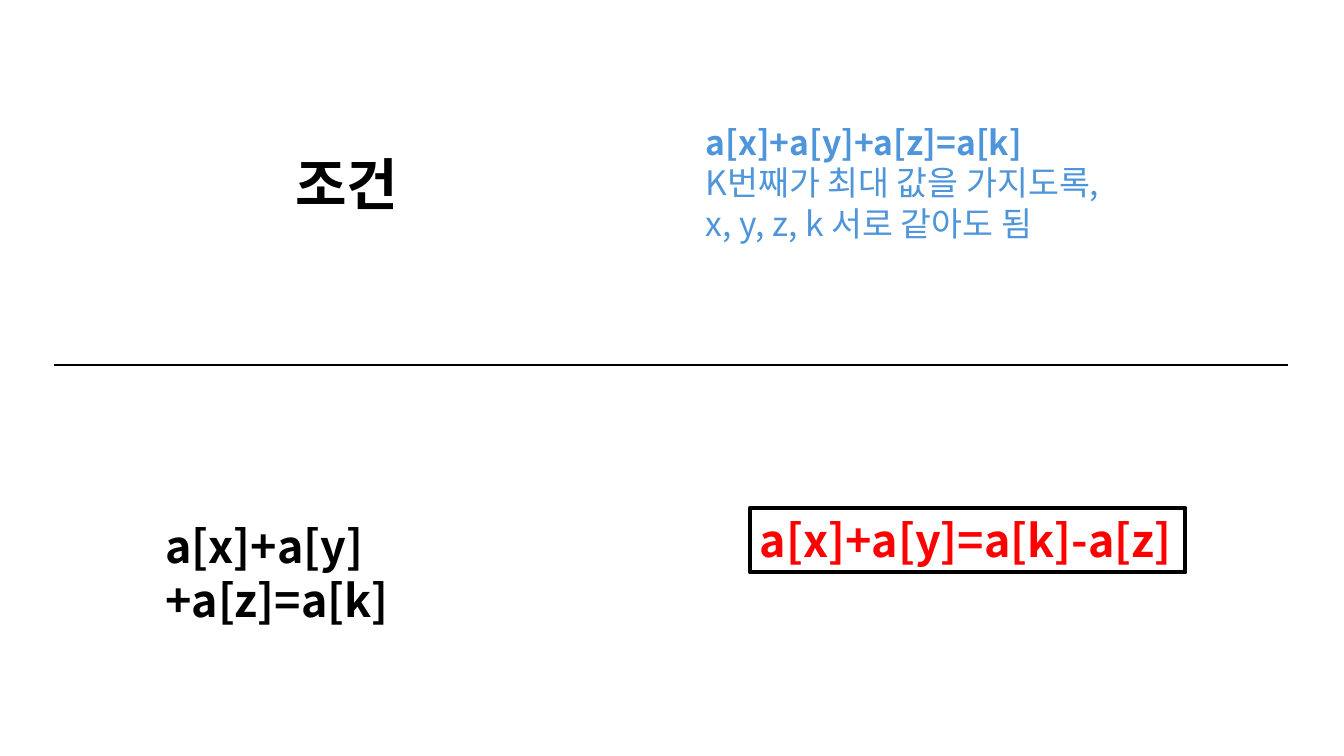
from lxml import etree
from pptx import Presentation, util as u
from pptx.dml.color import RGBColor
from pptx.enum import shapes, text
from pptx.oxml import ns

WIDTH, HEIGHT = u.Inches(13.33), u.Inches(7.5)
FONT = "Noto Sans CJK KR"
BLACK, BLUE, RED = "000000", "4E95D9", "FF0000"
FORMULA_SIZE = (0.324, 0.085)


def color(value):
    return RGBColor.from_string(value)


def area(left, top, width, height):
    return [u.Emu(round(share * side)) for share, side in
            zip((left, top, width, height), (WIDTH, HEIGHT) * 2)]


def write(holder, lines, size, ink, bold_lines=1):
    frame = holder.text_frame
    frame.word_wrap = True
    frame.auto_size = text.MSO_AUTO_SIZE.SHAPE_TO_FIT_TEXT
    frame.vertical_anchor = text.MSO_ANCHOR.TOP
    frame.text = "\n".join(lines)
    for index, paragraph in enumerate(frame.paragraphs):
        paragraph.alignment = text.PP_ALIGN.LEFT
        font = paragraph.font
        font.name = FONT
        font.size = u.Pt(size)
        font.bold = index < bold_lines
        font.color.rgb = color(ink)
        defaults = paragraph._p.pPr.find(ns.qn("a:defRPr"))
        etree.SubElement(defaults, ns.qn("a:ea"), typeface=FONT)


def add_text(slide, box, lines, size, ink):
    write(slide.shapes.add_textbox(*area(*box)), lines, size, ink)


def add_framed_formula(slide, box, formula):
    frame = slide.shapes.add_shape(shapes.MSO_SHAPE.RECTANGLE, *area(*box))
    frame.shadow.inherit = False
    frame.fill.background()
    frame.line.color.rgb = color(BLACK)
    frame.line.width = u.Pt(3)
    write(frame, [formula], 32, RED)


def add_divider(slide, left, right, level):
    x1, y, x2, _ = area(left, level, right, 0)
    divider = slide.shapes.add_connector(shapes.MSO_CONNECTOR.STRAIGHT, x1, y, x2, y)
    divider.line.color.rgb = color(BLACK)
    divider.line.width = u.Pt(1.5)
    etree.SubElement(divider._element.spPr, ns.qn("a:effectLst"))


def main():
    deck = Presentation()
    deck.slide_width, deck.slide_height = WIDTH, HEIGHT
    slide = deck.slides.add_slide(deck.slide_layouts[6])
    condition = "a[x]+a[y]+a[z]=a[k]"
    add_text(slide, (0.1155, 0.68, *FORMULA_SIZE), [condition], 32, BLACK)
    add_text(slide, (0.5176, 0.1547, 0.342, 0.1747),
             [condition, "K번째가 최대 값을 가지도록,", "x, y, z, k 서로 같아도 됨"], 24, BLUE)
    add_text(slide, (0.2123, 0.1907, 0.1868, 0.1027), ["조건"], 40, BLACK)
    add_divider(slide, 0.04, 0.9587, 0.4827)
    add_framed_formula(slide, (0.558, 0.672, *FORMULA_SIZE), "a[x]+a[y]=a[k]-a[z]")
    deck.save("out.pptx")


if __name__ == "__main__":
    main()
